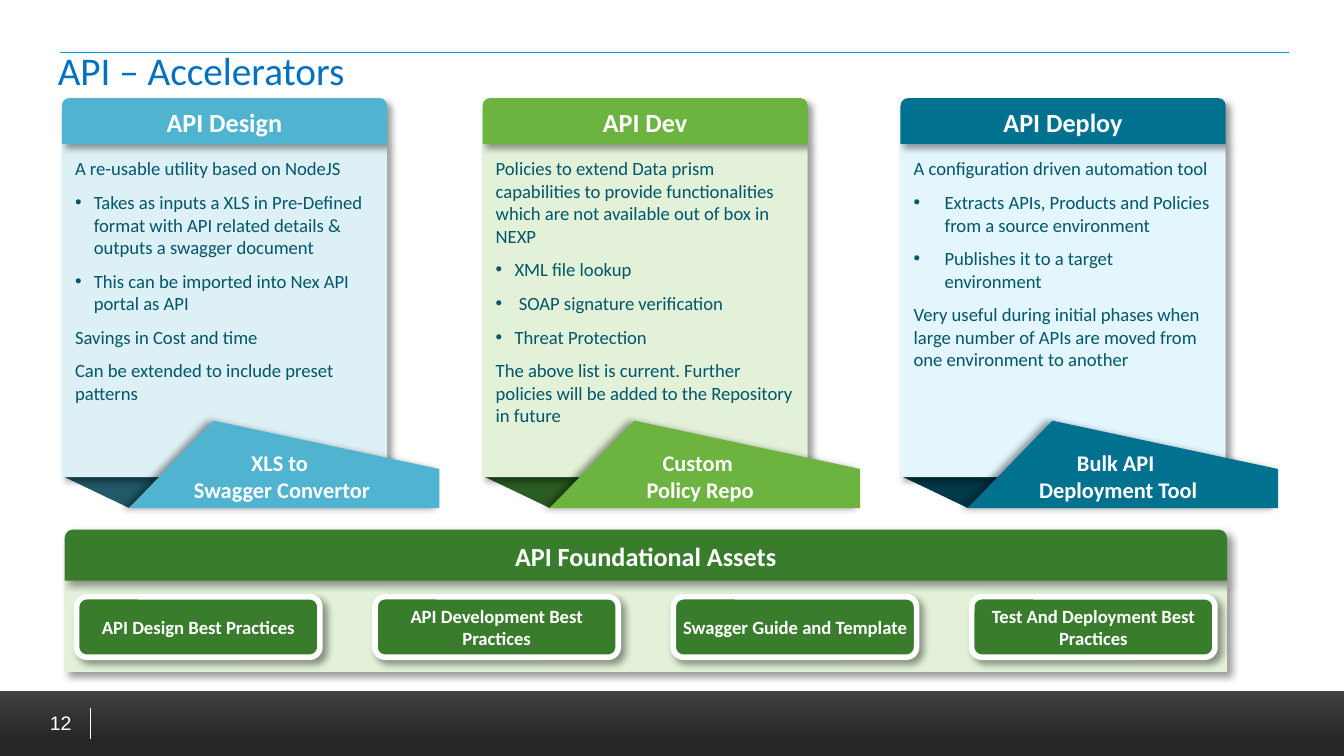
from lxml import etree
from pptx import Presentation, util as u
from pptx.dml.color import RGBColor
from pptx.enum import shapes, text
from pptx.oxml import ns

Inches, Pt = u.Inches, u.Pt
MSO, PP, ANCHOR = shapes.MSO_SHAPE, text.PP_ALIGN, text.MSO_ANCHOR
C = {"white": "FFFFFF", "title": "0070C0", "rule": "0096E6", "body": "00566B",
     "bar_dark": "262626", "bar_light": "404040", "green": "387C2C", "pale": "E2F1D7"}


def style(sp, fill, angle=None):
    sp.fill.solid()
    sp.fill.fore_color.rgb = RGBColor.from_string(fill)
    sp.line.fill.background()
    sp.shadow.inherit = False
    if angle is not None:
        effects = sp._element.spPr.find(ns.qn("a:effectLst"))
        shadow = etree.SubElement(effects, ns.qn("a:outerShdw"), blurRad=str(Pt(4)),
                                  dist=str(Pt(3)), dir=str(angle * 60000), algn="tl", rotWithShape="0")
        black = etree.SubElement(shadow, ns.qn("a:srgbClr"), val="000000")
        etree.SubElement(black, ns.qn("a:alpha"), val="40000")


def write(sp, lines, size, color, bold=False, align=PP.CENTER, anchor=ANCHOR.MIDDLE,
          insets=(0.1, 0.05, 0.1, 0.05), font="Calibri"):
    tf = sp.text_frame
    tf.word_wrap = True
    tf.vertical_anchor = anchor
    tf.margin_left, tf.margin_top, tf.margin_right, tf.margin_bottom = map(Inches, insets)
    for i, line in enumerate(lines):
        p = tf.paragraphs[0] if i == 0 else tf.add_paragraph()
        p.alignment = align
        r = p.add_run()
        r.text = line
        r.font.name, r.font.size, r.font.bold = font, Pt(size), bold
        r.font.color.rgb = RGBColor.from_string(color)
    return tf


prs = Presentation()
prs.slide_width = Inches(10)
prs.slide_height = prs.slide_width * 9 // 16
s = prs.slides.add_slide(prs.slide_layouts[5])

bar_top = Inches(5.14)
bar = s.shapes.add_shape(MSO.RECTANGLE, 0, bar_top, prs.slide_width, prs.slide_height - bar_top)
style(bar, C["bar_dark"])
bar.fill.gradient()
bar.fill.gradient_angle = 90
for stop, position, name in zip(bar.fill.gradient_stops, (0.24, 1), ("bar_dark", "bar_light")):
    stop.position = position
    stop.color.rgb = RGBColor.from_string(C[name])

for x1, y1, x2, y2, name in [(0.67, 5.27, 0.67, 5.5, "white"), (0.45, 0.39, 9.59, 0.39, "rule")]:
    line = s.shapes.add_connector(shapes.MSO_CONNECTOR.STRAIGHT,
                                  Inches(x1), Inches(y1), Inches(x2), Inches(y2))
    line.line.color.rgb = RGBColor.from_string(C[name])
    line.line.width = Pt(0.5)
    etree.SubElement(line._element.spPr, ns.qn("a:effectLst"))

number = s.shapes.add_textbox(Inches(0.04), Inches(5.17), Inches(0.59), Inches(0.41))
write(number, ["12"], 10.5, C["white"], align=PP.RIGHT, font="Arial")

title = s.shapes.title
title.left, title.top, title.width, title.height = map(Inches, (0.33, 0.27, 9.26, 0.5))
write(title, ["API – Accelerators"], 21, C["title"], align=PP.LEFT)

columns = [
    (0.46, "API Design", "50B3CF", "DCF0F5", "215968", 0.14,
     [("A re-usable utility based on NodeJS", False),
      ("Takes as inputs a XLS in Pre-Defined format with API related details & "
       "outputs a swagger document", True),
      ("This can be imported into Nex API portal as API", True),
      ("Savings in Cost and time", False),
      ("Can be extended to include preset patterns", False)],
     ["XLS to", " Swagger Convertor"]),
    (3.59, "API Dev", "6DB33F", "E2F1D7", "2A5D21", 0.14,
     [("Policies to extend Data prism capabilities to provide functionalities "
       "which are not available out of box in NEXP", False),
      ("XML file lookup", True),
      (" SOAP signature verification", True),
      ("Threat Protection", True),
      ("The above list is current. Further policies will be added to the "
       "Repository in future", False)],
     ["Custom ", "Policy Repo"]),
    (6.7, "API Deploy", "00728F", "E3F5FD", "003948", 0.23,
     [("A configuration driven automation tool", False),
      ("Extracts APIs, Products and Policies from a source environment", True),
      ("Publishes it to a target environment", True),
      ("Very useful during initial phases when large number of APIs are moved "
       "from one environment to another", False)],
     ["Bulk API ", "Deployment Tool"]),
]
for x, heading, main, pale, dark, indent, items, ribbon_lines in columns:
    fb = s.shapes.build_freeform(Inches(x + 0.02), Inches(3.55))
    fb.add_line_segments([(Inches(x + 0.74), Inches(3.55)), (Inches(x + 0.5), Inches(3.78))])
    fold = fb.convert_to_shape()
    style(fold, dark)

    panel = s.shapes.add_shape(MSO.RECTANGLE, Inches(x), Inches(1.07), Inches(2.42), Inches(2.48))
    style(panel, pale, 45)
    tf = write(panel, [item for item, _ in items], 10, C["body"], align=PP.LEFT,
               anchor=ANCHOR.TOP, insets=(0.1, 0.1, 0.1, 0.1))
    for p, (_, bulleted) in zip(tf.paragraphs, items):
        p.space_before = Pt(6)
        if bulleted:
            pPr = p._p.get_or_add_pPr()
            pPr.set("marL", str(Inches(indent)))
            pPr.set("indent", str(-Inches(indent)))
            etree.SubElement(pPr, ns.qn("a:buFont"), typeface="Arial")
            etree.SubElement(pPr, ns.qn("a:buChar"), char="•")

    header = s.shapes.add_shape(MSO.ROUND_2_SAME_RECTANGLE, Inches(x), Inches(0.73),
                                Inches(2.42), Inches(0.34))
    style(header, main, 45)
    write(header, [heading], 14, C["white"], bold=True)

    fb = s.shapes.build_freeform(Inches(x + 1.13), Inches(3.13))
    fb.add_line_segments([(Inches(x + dx), Inches(y))
                          for dx, y in [(2.81, 3.49), (2.81, 3.78), (0.5, 3.78)]])
    ribbon = fb.convert_to_shape()
    style(ribbon, main, 180)
    write(ribbon, ribbon_lines, 12, C["white"], bold=True, anchor=ANCHOR.BOTTOM,
          insets=(0, 0.04, 0.07, 0.04))

base = s.shapes.add_shape(MSO.RECTANGLE, Inches(0.48), Inches(4.32), Inches(8.65), Inches(0.68))
style(base, C["pale"], 45)
band = s.shapes.add_shape(MSO.ROUND_2_SAME_RECTANGLE, Inches(0.48), Inches(3.94),
                          Inches(8.65), Inches(0.38))
style(band, C["green"], 45)
write(band, ["API Foundational Assets"], 14, C["white"], bold=True)

assets = ["API Design Best Practices", "API Development Best Practices",
          "Swagger Guide and Template", "Test And Deployment Best Practices"]
for i, asset in enumerate(assets):
    sp = s.shapes.add_shape(MSO.ROUNDED_RECTANGLE, Inches(0.57 + 2.22 * i), Inches(4.44),
                            Inches(1.81), Inches(0.45))
    style(sp, C["green"], 45)
    sp.line.color.rgb = RGBColor.from_string(C["white"])
    sp.line.width = Pt(3)
    write(sp, [asset], 10, C["white"], bold=True, insets=(0.03, 0.04, 0.03, 0.04))

prs.save("out.pptx")
